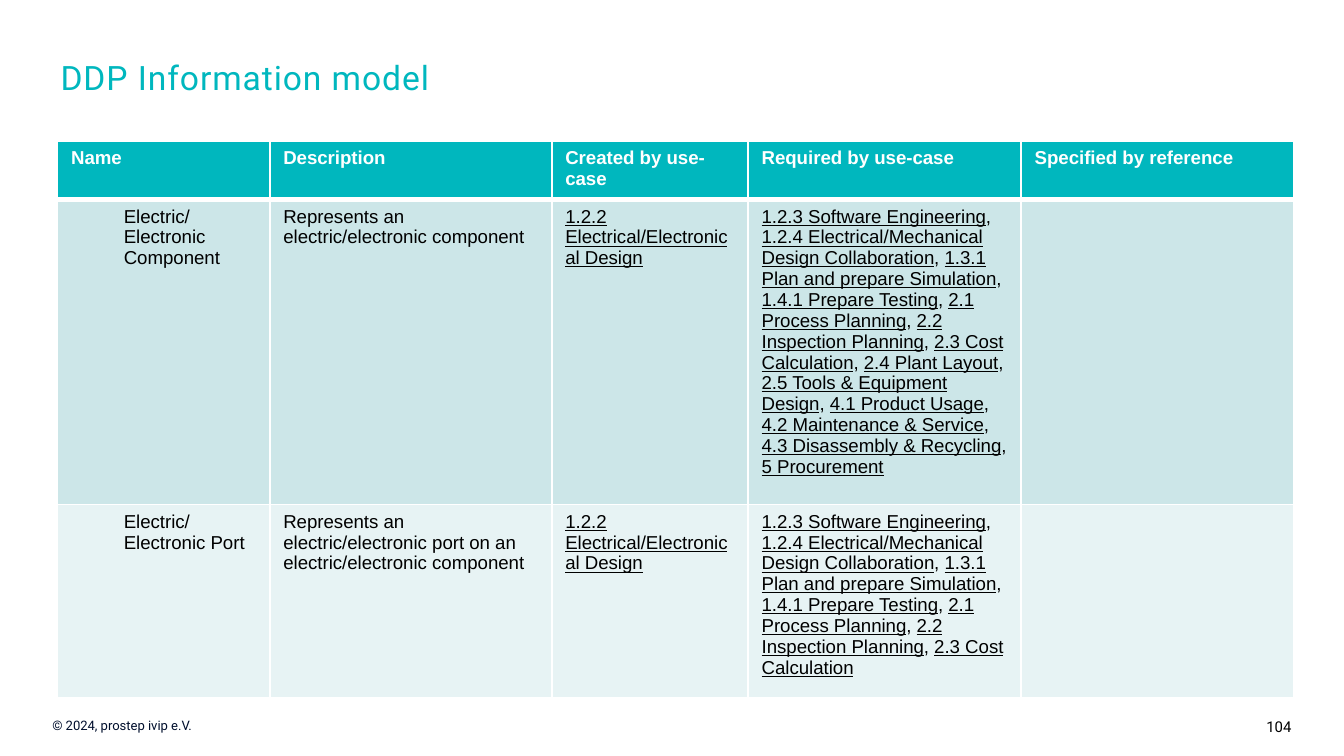
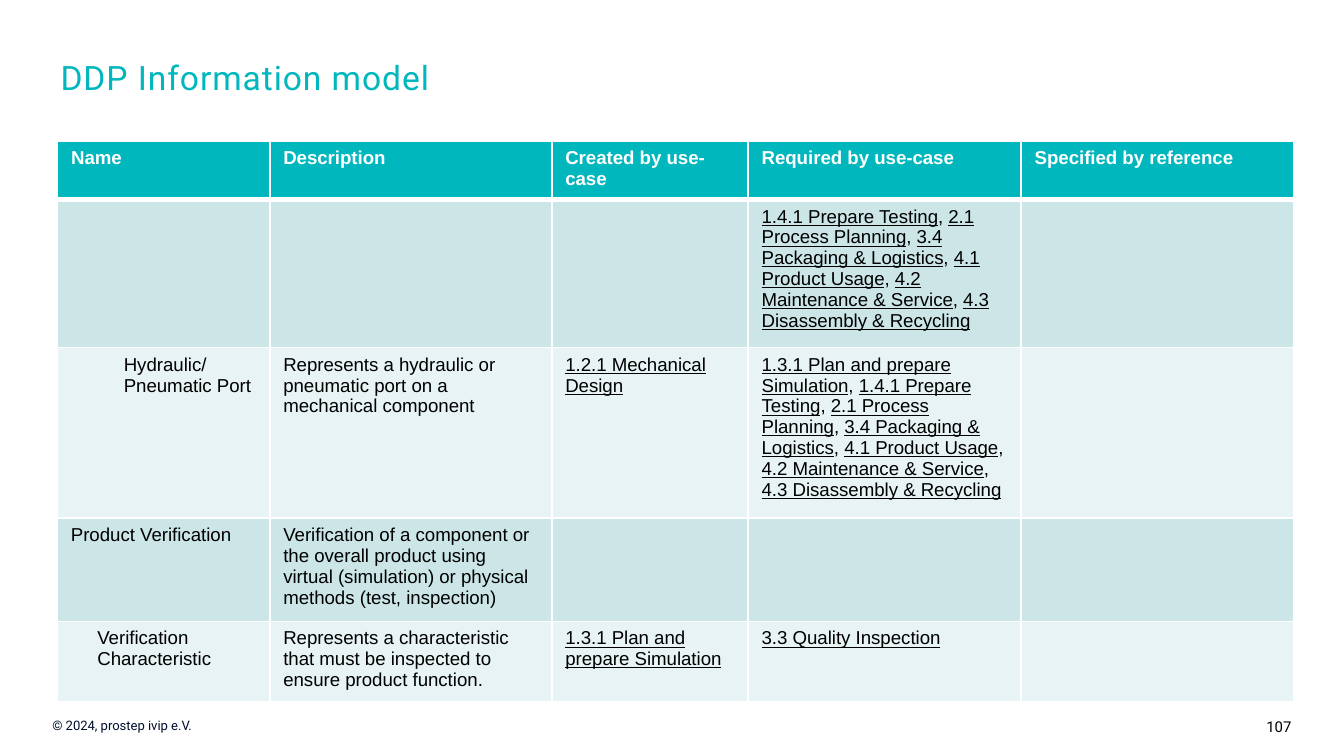
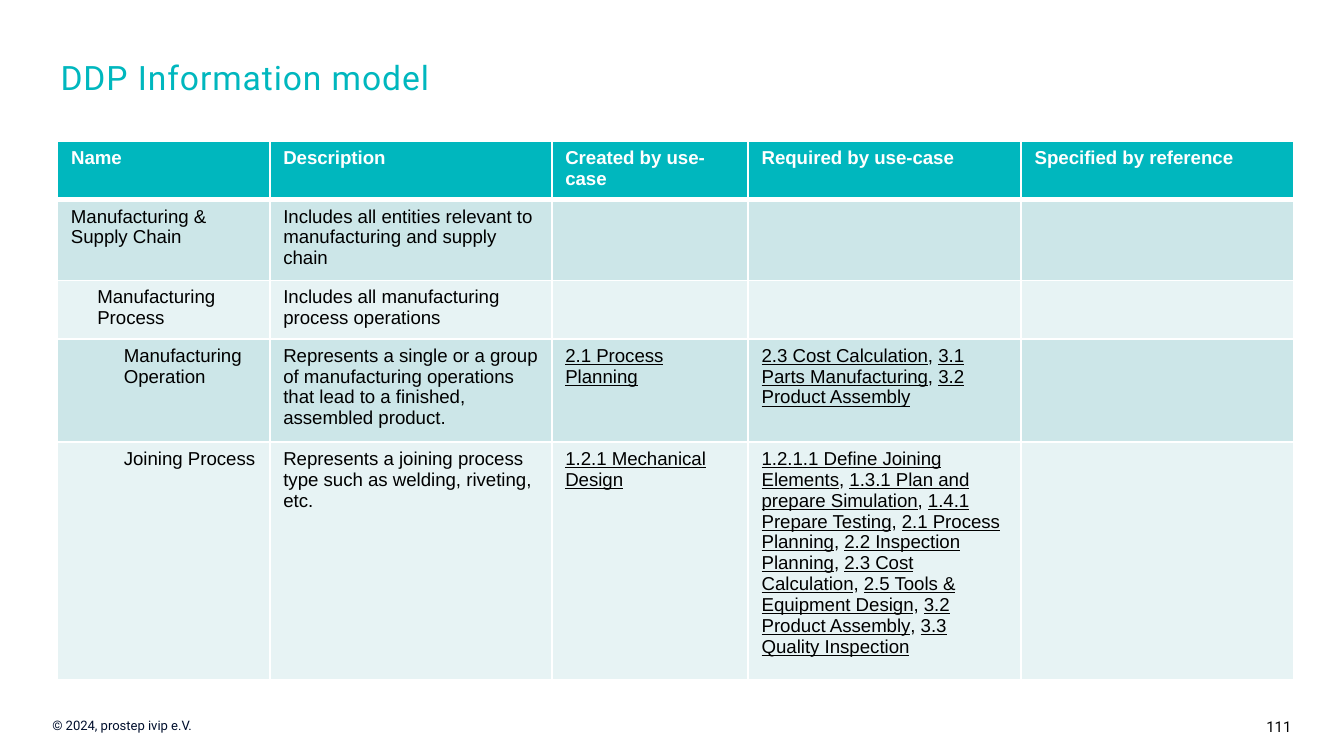
from collections import namedtuple
from dataclasses import dataclass

from lxml.etree import SubElement
from pptx import Presentation
from pptx.dml.color import RGBColor
from pptx.enum.text import MSO_ANCHOR as Anchor, MSO_AUTO_SIZE as AutoSize, PP_ALIGN as Align
from pptx.oxml import parse_xml
from pptx.oxml.ns import nsdecls, qn
from pptx.util import Cm, Pt

Box = namedtuple("Box", "left top width height")
Entry = namedtuple("Entry", "height level name description created required")


@dataclass(frozen=True)
class Theme:
    accent: str = "00B7BE"
    dark: str = "000F2D"
    black: str = "000000"
    white: str = "FFFFFF"
    bands: tuple = ("CCE6E8", "E7F3F4")
    heading_font: str = "Roboto"
    table_font: str = "Arial"
    title_size: float = 18
    table_size: float = 10
    number_size: float = 8
    footer_size: float = 7
    thin_line: float = 1
    thick_line: float = 3


THEME = Theme()
SLIDE_WIDTH, SLIDE_HEIGHT = 25.4, 14.29
TITLE_BOX = Box(0.89, 0.94, 19.02, 1.73)
TABLE_BOX = Box(1.09, 2.67, 23.39, 2.62)
FOOTER_BOX = Box(0, 13.44, 6.1, 0.56)
NUMBER_BOX = Box(23.09, 13.44, 2.31, 0.61)
EDGE_INSET, INSET, LEVEL_INDENT = 0.99, 0.25, 0.5
HEADER_HEIGHT = 0.41
COLUMNS = {
    "Name": 4.01,
    "Description": 5.33,
    "Created by use-case": 3.71,
    "Required by use-case": 5.16,
    "Specified by reference": 5.16,
}
USE_CASES = {
    "1.2.1": "Mechanical Design",
    "1.2.1.1": "Define Joining Elements",
    "1.2.2": "Electrical/Electronical Design",
    "1.2.3": "Software Engineering",
    "1.2.4": "Electrical/Mechanical Design Collaboration",
    "1.3.1": "Plan and prepare Simulation",
    "1.4.1": "Prepare Testing",
    "2.1": "Process Planning",
    "2.2": "Inspection Planning",
    "2.3": "Cost Calculation",
    "2.4": "Plant Layout",
    "2.5": "Tools & Equipment Design",
    "3.1": "Parts Manufacturing",
    "3.2": "Product Assembly",
    "3.3": "Quality Inspection",
    "3.4": "Packaging & Logistics",
    "4.1": "Product Usage",
    "4.2": "Maintenance & Service",
    "4.3": "Disassembly & Recycling",
    "5": "Procurement",
}
PAGES = {
    "104": [
        Entry(5.51, 2, "Electric/Electronic Component",
              "Represents an electric/electronic component", "1.2.2",
              "1.2.3 1.2.4 1.3.1 1.4.1 2.1 2.2 2.3 2.4 2.5 4.1 4.2 4.3 5"),
        Entry(3.38, 2, "Electric/Electronic Port",
              "Represents an electric/electronic port on an electric/electronic component",
              "1.2.2", "1.2.3 1.2.4 1.3.1 1.4.1 2.1 2.2 2.3"),
    ],
    "107": [
        Entry(0.41, 0, "", "", "", "1.4.1 2.1 3.4 4.1 4.2 4.3"),
        Entry(2.97, 2, "Hydraulic/Pneumatic Port",
              "Represents a hydraulic or pneumatic port on a mechanical component",
              "1.2.1", "1.3.1 1.4.1 2.1 3.4 4.1 4.2 4.3"),
        Entry(1.7, 0, "Product Verification",
              "Verification of a component or the overall product using virtual "
              "(simulation) or physical methods (test, inspection)", "", ""),
        Entry(1.27, 1, "Verification Characteristic",
              "Represents a characteristic that must be inspected to ensure product function.",
              "1.3.1", "3.3"),
    ],
    "111": [
        Entry(1.27, 0, "Manufacturing & Supply Chain",
              "Includes all entities relevant to manufacturing and supply chain", "", ""),
        Entry(0.84, 1, "Manufacturing Process",
              "Includes all manufacturing process operations", "", ""),
        Entry(1.7, 2, "Manufacturing Operation",
              "Represents a single or a group of manufacturing operations that lead "
              "to a finished, assembled product.", "2.1", "2.3 3.1 3.2"),
        Entry(4.24, 2, "Joining Process",
              "Represents a joining process type such as welding, riveting, etc.",
              "1.2.1", "1.2.1.1 1.3.1 1.4.1 2.1 2.2 2.3 2.5 3.2 3.3"),
    ],
}


def add_text(paragraph, text, *, font=THEME.table_font, size=THEME.table_size,
             color=THEME.black, bold=False, underline=False, spacing=None):
    run = paragraph.add_run()
    run.text = text
    run.font.name = font
    run.font.size = Pt(size)
    run.font.color.rgb = RGBColor.from_string(color)
    run.font.bold = bold
    run.font.underline = underline
    if spacing:
        run._r.get_or_add_rPr().set("spc", str(int(spacing * 100)))


def in_cm(box):
    return [Cm(length) for length in box]


def place_title(slide, box, text):
    title = slide.shapes.title
    title.left, title.top, title.width, title.height = in_cm(box)
    frame = title.text_frame
    frame.auto_size = AutoSize.NONE
    frame.vertical_anchor = Anchor.TOP
    paragraph = frame.paragraphs[0]
    paragraph.alignment = Align.LEFT
    add_text(paragraph, text, font=THEME.heading_font, size=THEME.title_size,
             color=THEME.accent, spacing=0.5)


def place_margin_text(slide, box, text, *, align, size, color):
    frame = slide.shapes.add_textbox(*in_cm(box)).text_frame
    frame.word_wrap = True
    on_right = align == Align.RIGHT
    frame.margin_left = Cm(INSET if on_right else EDGE_INSET)
    frame.margin_right = Cm(EDGE_INSET if on_right else INSET)
    frame.paragraphs[0].alignment = align
    add_text(frame.paragraphs[0], text, font=THEME.heading_font, size=size, color=color)


def style_cell(cell, fill, top, bottom):
    cell.fill.solid()
    cell.fill.fore_color.rgb = RGBColor.from_string(fill)
    properties = cell._tc.get_or_add_tcPr()
    widths = {"lnL": THEME.thin_line, "lnR": THEME.thin_line, "lnT": top, "lnB": bottom}
    for position, (side, width) in enumerate(widths.items()):
        line = parse_xml(f'<a:{side} {nsdecls("a")} w="{Pt(width)}"/>')
        solid = SubElement(line, qn("a:solidFill"))
        SubElement(solid, qn("a:srgbClr")).set("val", THEME.white)
        properties.insert(position, line)


def write_use_cases(paragraph, numbers):
    for position, number in enumerate(numbers.split()):
        if position:
            add_text(paragraph, ", ")
        add_text(paragraph, f"{number} {USE_CASES[number]}", underline=True)


def fill_header(table):
    table.rows[0].height = Cm(HEADER_HEIGHT)
    for cell, heading in zip(table.rows[0].cells, COLUMNS):
        style_cell(cell, THEME.accent, THEME.thin_line, THEME.thick_line)
        add_text(cell.text_frame.paragraphs[0], heading, color=THEME.white, bold=True)


def fill_entry(row, entry, index):
    row.height = Cm(entry.height)
    cells = list(row.cells)
    for cell in cells:
        style_cell(cell, THEME.bands[index % 2],
                   THEME.thin_line if index else THEME.thick_line, THEME.thin_line)
    cells[0].margin_left = Cm(INSET + LEVEL_INDENT * entry.level)
    name, description, created, required, _ = [cell.text_frame.paragraphs[0] for cell in cells]
    for paragraph, text in ((name, entry.name), (description, entry.description)):
        if text:
            add_text(paragraph, text)
    write_use_cases(created, entry.created)
    write_use_cases(required, entry.required)


def place_table(slide, box, entries):
    table = slide.shapes.add_table(len(entries) + 1, len(COLUMNS), *in_cm(box)).table
    for column, width in zip(table.columns, COLUMNS.values()):
        column.width = Cm(width)
    fill_header(table)
    for index, entry in enumerate(entries):
        fill_entry(table.rows[index + 1], entry, index)


def add_model_slide(presentation, number, entries):
    slide = presentation.slides.add_slide(presentation.slide_layouts[5])
    place_margin_text(slide, NUMBER_BOX, number, align=Align.RIGHT,
                      size=THEME.number_size, color=THEME.black)
    place_margin_text(slide, FOOTER_BOX, "© 2024, prostep ivip e.V.", align=Align.LEFT,
                      size=THEME.footer_size, color=THEME.dark)
    place_title(slide, TITLE_BOX, "DDP Information model")
    place_table(slide, TABLE_BOX, entries)


def main():
    presentation = Presentation()
    presentation.slide_width = Cm(SLIDE_WIDTH)
    presentation.slide_height = Cm(SLIDE_HEIGHT)
    for number, entries in PAGES.items():
        add_model_slide(presentation, number, entries)
    presentation.save("out.pptx")


if __name__ == "__main__":
    main()
